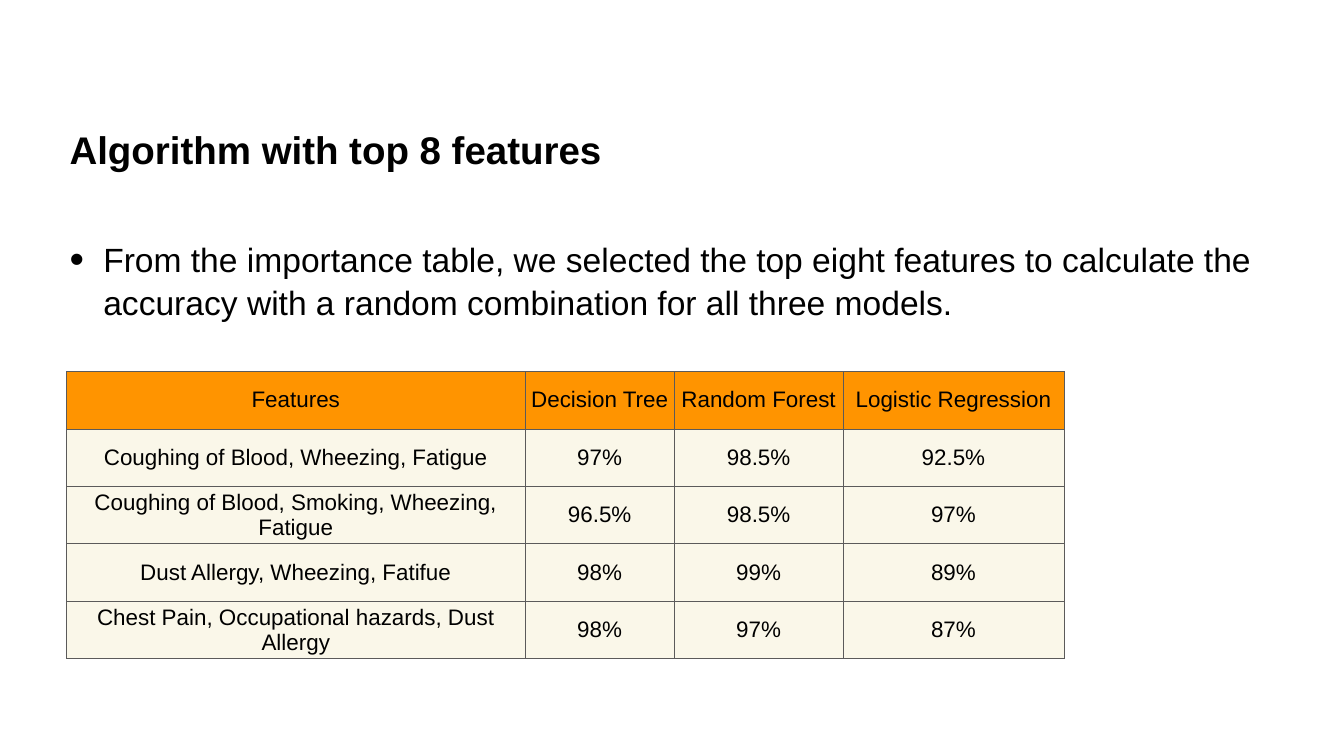
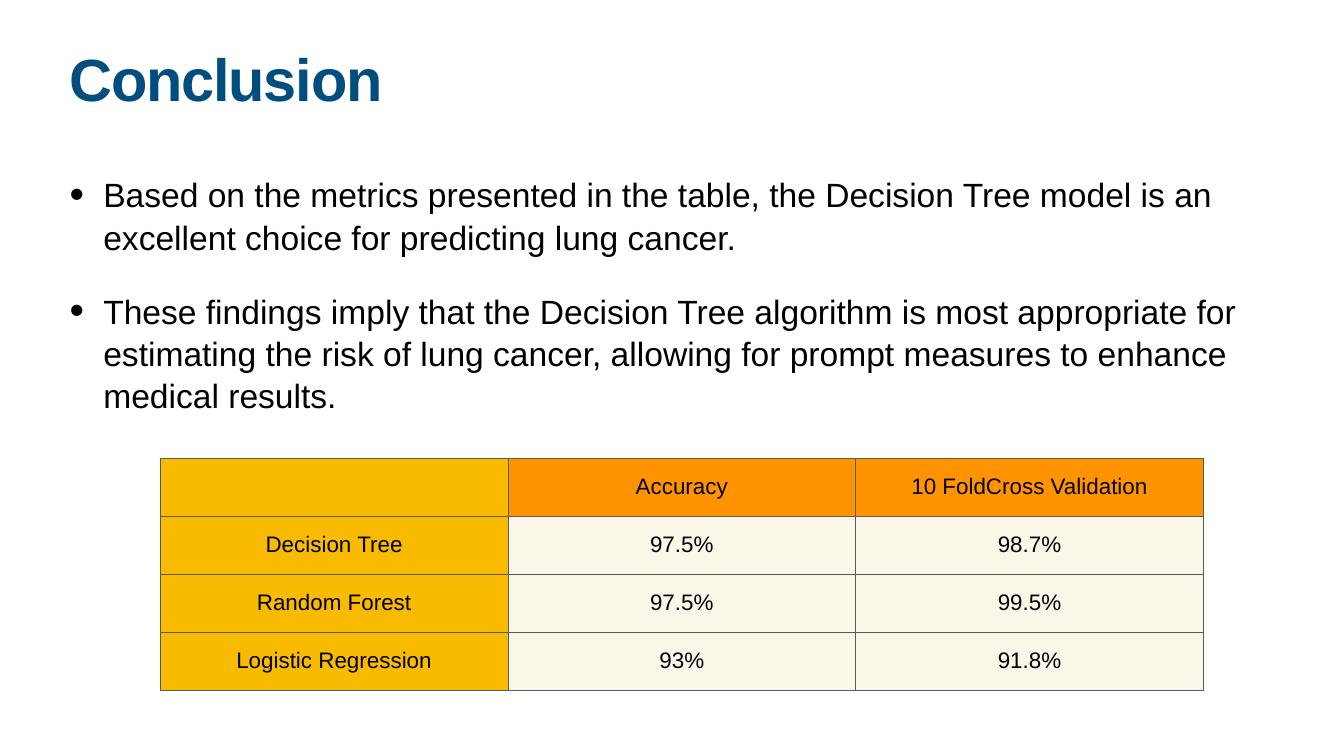
from lxml.etree import SubElement
from pptx import Presentation
from pptx.dml.color import RGBColor
from pptx.enum.text import MSO_ANCHOR, MSO_AUTO_SIZE, PP_ALIGN
from pptx.oxml import parse_xml
from pptx.oxml.ns import nsdecls, qn
from pptx.util import Inches, Pt

COLORS = {
    "text": "000000",
    "title": "004D80",
    "header": "FF9400",
    "row_label": "F8BB00",
    "cell": "FAF7E9",
    "border": "5B5A5A",
}
FONT = "Arial"
INSET = 0.06
LEFT, WIDTH = 1.32, 24.03


def color(name):
    return RGBColor.from_string(COLORS[name])


def style_font(para, size, color_name="text", bold=False):
    font = para.font
    font.name, font.size, font.bold = FONT, Pt(size), bold
    font.color.rgb = color(color_name)


def place(shape, top, height, anchor):
    """Set a placeholder on the shared text column and return its frame."""
    shape.left, shape.top = Inches(LEFT), Inches(top)
    shape.width, shape.height = Inches(WIDTH), Inches(height)
    frame = shape.text_frame
    frame.word_wrap = True
    frame.auto_size = MSO_AUTO_SIZE.NONE
    frame.vertical_anchor = anchor
    frame.margin_left = frame.margin_right = Inches(INSET)
    frame.margin_top = frame.margin_bottom = Inches(INSET)
    return frame


def add_title(page, text, top, height, size, color_name, anchor,
              line_spacing=1.0, tracking=0):
    frame = place(page.shapes.title, top, height, anchor)
    frame.text = text
    para = frame.paragraphs[0]
    para.alignment = PP_ALIGN.LEFT
    para.line_spacing = line_spacing
    style_font(para, size, color_name, bold=True)
    if tracking:
        para.runs[0].font._element.set("spc", str(round(tracking * 100)))


def add_bullets(page, items, top, height):
    frame = place(page.placeholders[1], top, height, MSO_ANCHOR.TOP)
    frame.text = "\n".join(items)
    for index, para in enumerate(frame.paragraphs):
        properties = para._p.get_or_add_pPr()
        properties.set("marL", str(Inches(0.67)))
        properties.set("indent", str(-Inches(0.67)))
        SubElement(properties, qn("a:buSzPct"), val="123000")
        SubElement(properties, qn("a:buFont"), typeface=FONT)
        SubElement(properties, qn("a:buChar"), char="•")
        para.line_spacing = 1.05
        para.space_before = Pt(45 if index else 0)
        style_font(para, 48)


def add_borders(cell):
    properties = cell._tc.get_or_add_tcPr()
    for index, side in enumerate(("lnL", "lnR", "lnT", "lnB")):
        properties.insert(index, parse_xml(
            f'<a:{side} {nsdecls("a")} w="{Pt(1)}"><a:solidFill>'
            f'<a:srgbClr val="{COLORS["border"]}"/></a:solidFill></a:{side}>'))


def add_grid(page, rows, left, top, widths, row_height, row_labels=False):
    """Table with a header row and, if asked, a tinted label column."""
    table = page.shapes.add_table(
        len(rows), len(widths), Inches(left), Inches(top),
        Inches(sum(widths)), Inches(row_height * len(rows))).table
    table.first_row = table.horz_banding = False
    for column, width in zip(table.columns, widths):
        column.width = Inches(width)
    for row_index, values in enumerate(rows):
        table.rows[row_index].height = Inches(row_height)
        for column_index, value in enumerate(values):
            cell = table.cell(row_index, column_index)
            if row_labels and column_index == 0:
                fill = "row_label"
            else:
                fill = "cell" if row_index else "header"
            cell.fill.solid()
            cell.fill.fore_color.rgb = color(fill)
            add_borders(cell)
            cell.vertical_anchor = MSO_ANCHOR.MIDDLE
            cell.margin_left = cell.margin_right = Inches(INSET)
            cell.margin_top = cell.margin_bottom = Inches(INSET)
            cell.text = value
            para = cell.text_frame.paragraphs[0]
            para.alignment = PP_ALIGN.CENTER
            style_font(para, 32)


def add_features_page(deck):
    page = deck.slides.add_slide(deck.slide_layouts[1])
    add_title(page, "Algorithm with top 8 features", 2.46, 1.02, 55, "text",
              MSO_ANCHOR.BOTTOM)
    add_bullets(page, [
        "From the importance table, we selected the top eight features to "
        "calculate the accuracy with a random combination for all three models.",
    ], 4.65, 9.03)
    add_grid(page, [
        ("Features", "Decision Tree", "Random Forest", "Logistic Regression"),
        ("Coughing of Blood, Wheezing, Fatigue", "97%", "98.5%", "92.5%"),
        ("Coughing of Blood, Smoking, Wheezing, Fatigue", "96.5%", "98.5%", "97%"),
        ("Dust Allergy, Wheezing, Fatifue", "98%", "99%", "89%"),
        ("Chest Pain, Occupational hazards, Dust Allergy", "98%", "97%", "87%"),
    ], LEFT, 7.37, [9.1, 2.96, 3.35, 4.38], 1.14)


def add_conclusion_page(deck):
    page = deck.slides.add_slide(deck.slide_layouts[1])
    add_title(page, "Conclusion", 1.04, 1.57, 85, "title", MSO_ANCHOR.TOP,
              line_spacing=0.8, tracking=-1.7)
    add_bullets(page, [
        "Based on the metrics presented in the table, the Decision Tree model "
        "is an excellent choice for predicting lung cancer.",
        "These findings imply that the Decision Tree algorithm is most "
        "appropriate for estimating the risk of lung cancer, allowing for "
        "prompt measures to enhance medical results.",
    ], 3.36, 10.32)
    add_grid(page, [
        ("", "Accuracy", "10 FoldCross Validation"),
        ("Decision Tree", "97.5%", "98.7%"),
        ("Random Forest", "97.5%", "99.5%"),
        ("Logistic Regression", "93%", "91.8%"),
    ], 3.18, 9.09, [6.9] * 3, 1.15, row_labels=True)


def main():
    deck = Presentation()
    deck.slide_width, deck.slide_height = Inches(26.67), Inches(15)
    add_features_page(deck)
    add_conclusion_page(deck)
    deck.save("out.pptx")


if __name__ == "__main__":
    main()
